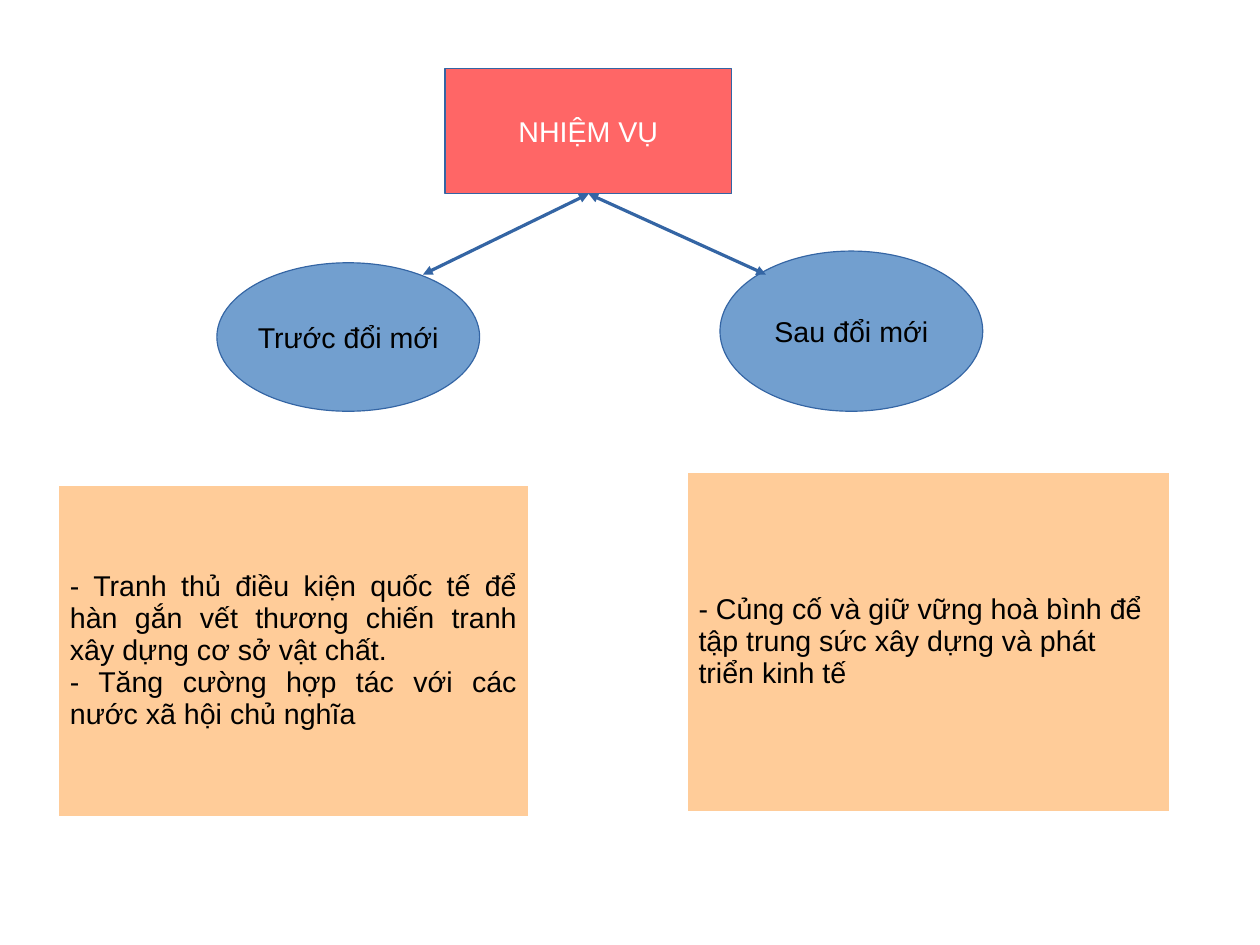
from lxml import etree
from pptx import Presentation
from pptx.dml.color import RGBColor
from pptx.enum import shapes, text
from pptx.oxml import ns
from pptx.util import Cm, Pt

BLUE, BLACK, WHITE = "3465A4", "000000", "FFFFFF"
SKY, CORAL, PEACH = "729FCF", "FF6666", "FFCC99"


def color(value):
    """Return a colour from a hex string."""
    return RGBColor.from_string(value)


def style_line(line):
    """Give a line the thin blue stroke."""
    line.color.rgb = color(BLUE)
    line.width = Pt(0)


def write(frame, lines, align, ink):
    """Write one paragraph for each line of text."""
    for index, line in enumerate(lines):
        para = frame.add_paragraph() if index else frame.paragraphs[0]
        para.text = line
        para.alignment = align
        para.font.name = "Arial"
        para.font.size = Pt(18)
        para.font.color.rgb = color(ink)


def add_node(page, kind, label, area, fill, ink):
    """Add a filled shape with a centred label."""
    node = page.shapes.add_shape(kind, *map(Cm, area))
    node.shadow.inherit = False
    node.fill.solid()
    node.fill.fore_color.rgb = color(fill)
    style_line(node.line)
    frame = node.text_frame
    frame.word_wrap = False
    frame.vertical_anchor = text.MSO_ANCHOR.MIDDLE
    write(frame, [label], text.PP_ALIGN.CENTER, ink)


def add_arrow(page, start, end):
    """Add a connector with a triangle at both ends."""
    arrow = page.shapes.add_connector(
        shapes.MSO_CONNECTOR.STRAIGHT, *map(Cm, start + end))
    style_line(arrow.line)
    stroke = arrow.line._get_or_add_ln()
    for tag in ("a:headEnd", "a:tailEnd"):
        etree.SubElement(stroke, ns.qn(tag), type="triangle")
    etree.SubElement(arrow._element.spPr, ns.qn("a:effectLst"))


def add_borders(cell):
    """Draw hairline white borders around a table cell."""
    properties = cell._tc.get_or_add_tcPr()
    for side in "LRTB":
        border = etree.SubElement(properties, ns.qn(f"a:ln{side}"), w="762")
        fill = etree.SubElement(border, ns.qn("a:solidFill"))
        etree.SubElement(fill, ns.qn("a:srgbClr"), val=WHITE)


def add_panel(page, lines, area, align):
    """Add a table of one cell that lists the tasks."""
    table = page.shapes.add_table(1, 1, *map(Cm, area)).table
    table.first_row = table.horz_banding = False
    cell = table.cell(0, 0)
    add_borders(cell)
    cell.fill.solid()
    cell.fill.fore_color.rgb = color(PEACH)
    cell.vertical_anchor = text.MSO_ANCHOR.MIDDLE
    write(cell.text_frame, lines, align, BLACK)


def main():
    """Build the slide about tasks before and after the reform."""
    deck = Presentation()
    deck.slide_width, deck.slide_height = Cm(28), Cm(21)
    page = deck.slides.add_slide(deck.slide_layouts[6])

    oval = shapes.MSO_SHAPE.OVAL
    add_node(page, oval, "Trước đổi mới", (4.82, 5.84, 5.84, 3.3), SKY, BLACK)
    add_node(page, oval, "Sau đổi mới", (16, 5.58, 5.84, 3.56), SKY, BLACK)
    add_node(page, shapes.MSO_SHAPE.RECTANGLE, "NHIỆM VỤ",
             (9.89, 1.52, 6.37, 2.79), CORAL, WHITE)

    for end in ((9.4, 6.1), (17.02, 6.1)):
        add_arrow(page, (13.08, 4.31), end)

    add_panel(page, [
        "- Tranh thủ điều kiện quốc tế để hàn gắn vết thương chiến tranh "
        "xây dựng cơ sở vật chất.",
        "- Tăng cường hợp tác với các nước xã hội chủ nghĩa",
    ], (1.3, 10.77, 10.44, 7.37), text.PP_ALIGN.JUSTIFY)
    add_panel(page, [
        "- Củng cố và giữ vững hoà bình để tập trung sức xây dựng và phát "
        "triển kinh tế",
    ], (15.27, 10.49, 10.72, 7.54), text.PP_ALIGN.LEFT)

    deck.save("out.pptx")


if __name__ == "__main__":
    main()
